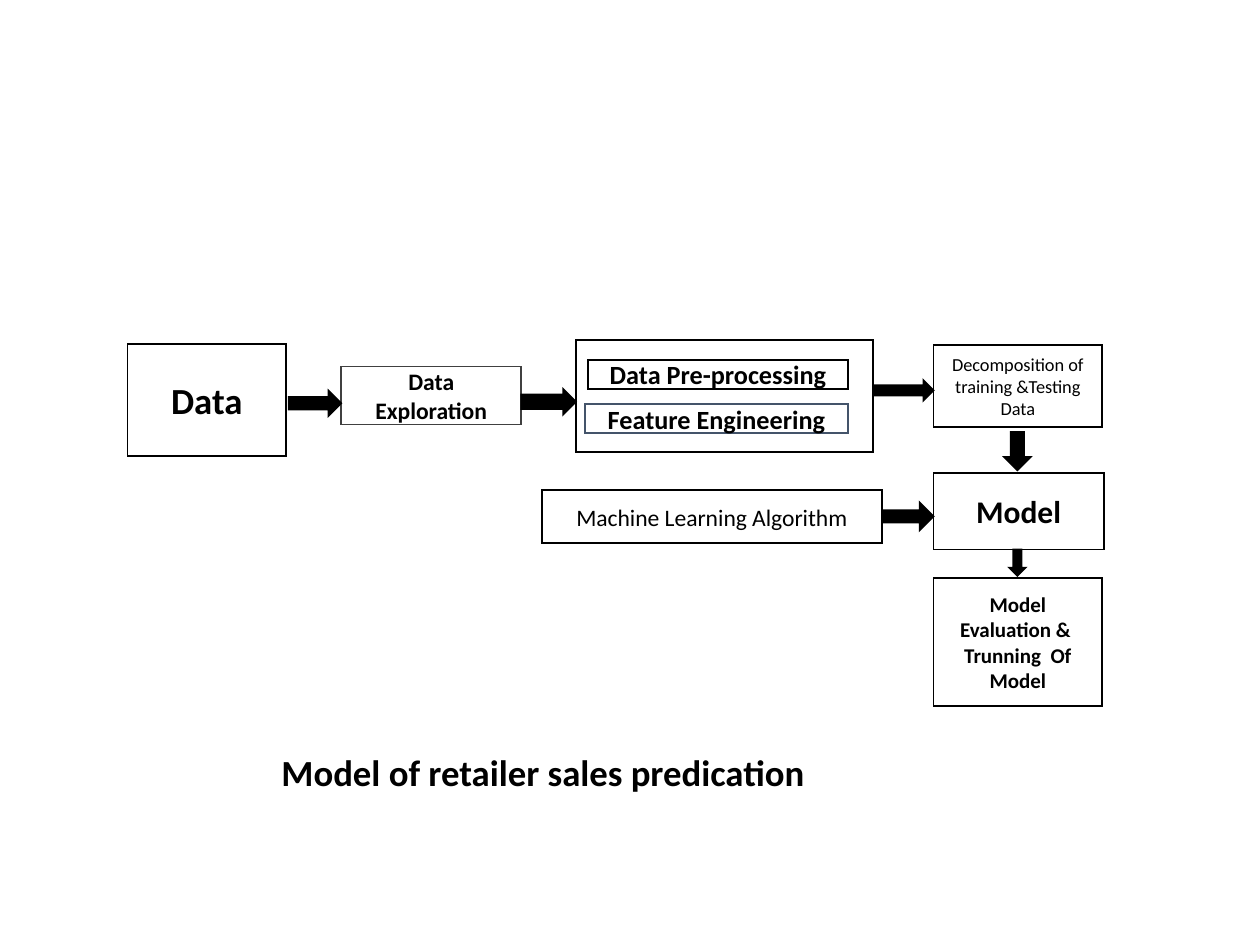
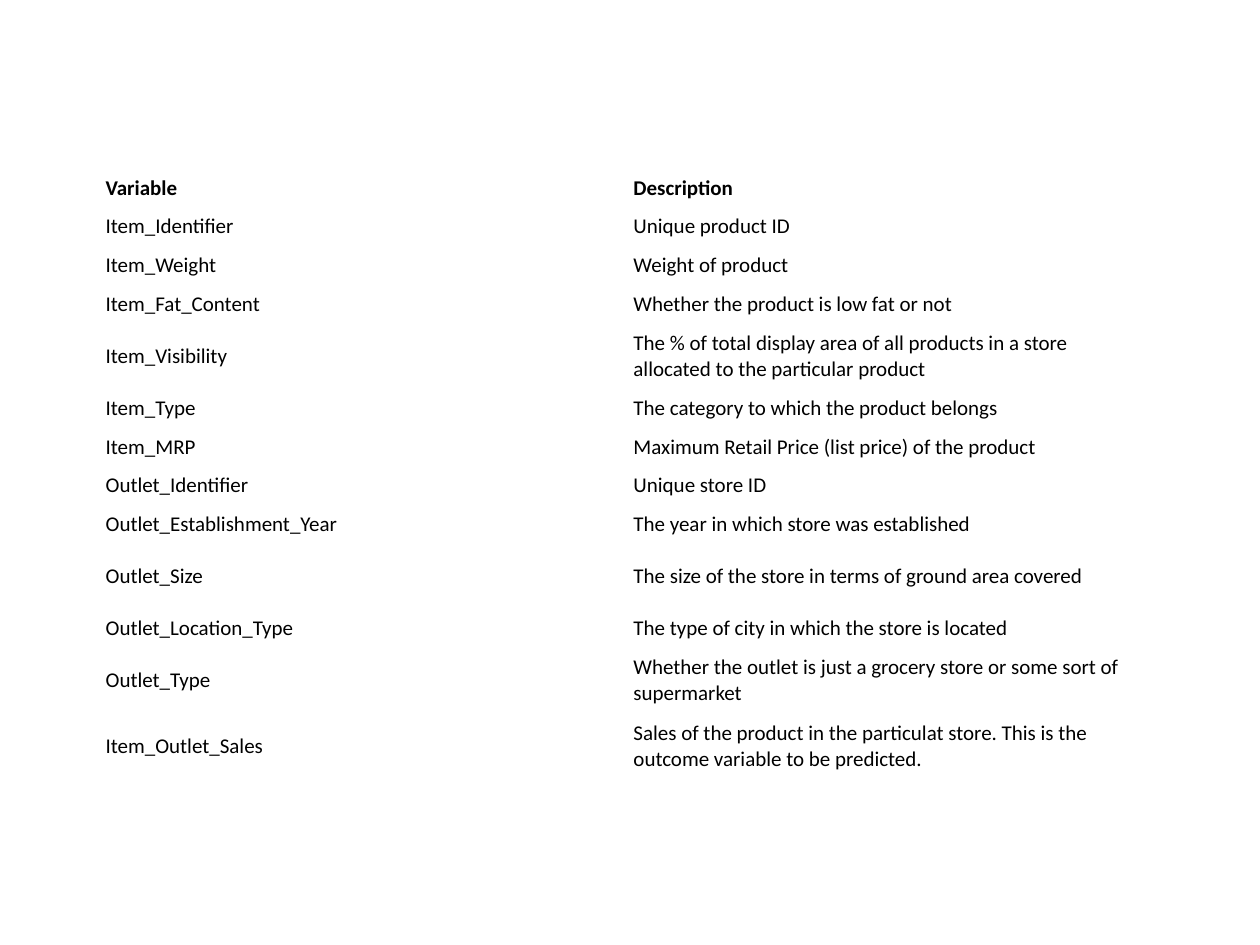
from dataclasses import dataclass

from lxml import etree
from pptx import Presentation
from pptx.dml.color import RGBColor
from pptx.enum.shapes import MSO_SHAPE
from pptx.enum.text import MSO_ANCHOR, PP_ALIGN
from pptx.oxml.ns import qn
from pptx.util import Cm, Pt

RECT, ROUNDED = MSO_SHAPE.RECTANGLE, MSO_SHAPE.ROUNDED_RECTANGLE
RIGHT, DOWN = MSO_SHAPE.RIGHT_ARROW, MSO_SHAPE.DOWN_ARROW
MIDDLE, CENTER, LEFT = MSO_ANCHOR.MIDDLE, PP_ALIGN.CENTER, PP_ALIGN.LEFT


@dataclass(frozen=True)
class Theme:
    font: str = "Calibri"
    ink: str = "000000"
    paper: str = "FFFFFF"
    grey: str = "404040"
    slate: str = "44546A"
    headline: float = 21
    model: float = 18
    step: float = 15
    label: float = 13.5
    body: float = 12
    small: float = 10.5


T = Theme()

# Flow steps: key -> text, (left, top, width, height) in cm, size, bold, line, fill
STEPS = {
    "data": ("Data", (2.57, 6.93, 3.2, 2.26), T.headline, True, T.ink, T.paper),
    "explore": ("Data Exploration", (6.88, 7.39, 3.63, 1.17), T.label, True, T.grey, T.paper),
    "features": ("Feature Engineering", (11.79, 8.15, 5.31, 0.58), T.step, True, T.slate, T.paper),
    "clean": ("Data Pre-processing", (11.86, 7.26, 5.23, 0.58), T.step, True, T.ink, None),
    "split": ("Decomposition of training &Testing Data",
              (18.82, 6.96, 3.4, 1.65), T.small, False, T.ink, T.paper),
    "model": ("Model", (18.82, 9.53, 3.43, 1.55), T.model, True, T.ink, T.paper),
    "evaluate": ("Model Evaluation &  Trunning  Of Model",
                 (18.82, 11.66, 3.4, 2.57), T.body, True, T.ink, T.paper),
    "algorithm": ("Machine Learning Algorithm",
                  (10.92, 9.88, 6.86, 1.07), T.label, False, T.ink, T.paper),
    "prepare": ("", (11.61, 6.86, 5.99, 2.26), T.body, False, T.ink, None),
}
ROUNDED_STEPS = {"explore"}

# Flow arrows: from, to, direction, centre line, thickness,
# gap at start and end (cm), shaft share of the thickness
ARROWS = [
    ("data", "explore", RIGHT, 8.13, 0.51, 0.05, 0, 0.5),
    ("explore", "prepare", RIGHT, 8.1, 0.51, 0, 0, 0.58),
    ("prepare", "split", RIGHT, 7.87, 0.41, 0.03, 0, 0.5),
    ("split", "model", DOWN, 20.51, 0.53, 0.1, 0.05, 0.5),
    ("model", "evaluate", DOWN, 20.51, 0.33, 0, 0.05, 0.5),
    ("algorithm", "model", RIGHT, 10.41, 0.56, 0, 0, 0.44),
]

CAPTION = "Model of retailer sales predication"
CAPTION_BOX = (5.03, 14.78, 11.84, 1.55)

VARIABLES = [
    ("Variable", "Description"),
    ("Item_Identifier", "Unique product ID"),
    ("Item_Weight", "Weight of product"),
    ("Item_Fat_Content", "Whether the product is low fat or not"),
    ("Item_Visibility",
     "The % of total display area of all products in a store allocated to the particular product"),
    ("Item_Type", "The category to which the product belongs"),
    ("Item_MRP", "Maximum Retail Price (list price) of the product"),
    ("Outlet_Identifier", "Unique store ID"),
    ("Outlet_Establishment_Year", "The year in which store was established"),
    ("Outlet_Size", "The size of the store in terms of ground area covered"),
    ("Outlet_Location_Type", "The type of city in which the store is located"),
    ("Outlet_Type", "Whether the outlet is just a grocery store or some sort of supermarket"),
    ("Item_Outlet_Sales",
     "Sales of the product in the particulat store. This is the outcome variable to be predicted."),
]
TALL_ROWS = {"Item_Visibility", "Outlet_Size", "Outlet_Type", "Item_Outlet_Sales"}
ROW_HEIGHT, TALL_HEIGHT, COLUMN_WIDTH = 0.78, 1.32, 10.64
TABLE_LEFT, TABLE_TOP = 1.93, 3.4


def color(value):
    return RGBColor.from_string(value)


def write(frame, text, size, bold, align):
    frame.word_wrap = True
    paragraph = frame.paragraphs[0]
    paragraph.text = text
    paragraph.alignment = align
    font = paragraph.font
    font.name, font.size, font.bold = T.font, Pt(size), bold
    font.color.rgb = color(T.ink)


def add_outlined(slide, kind, box, line, fill):
    shape = slide.shapes.add_shape(kind, *map(Cm, box))
    shape.shadow.inherit = False
    shape.line.color.rgb = color(line)
    shape.line.width = Pt(1)
    # Sharp corners on the outline
    outline = shape.element.spPr.find(qn("a:ln"))
    etree.SubElement(outline, qn("a:miter"), lim="800000")
    if fill:
        shape.fill.solid()
        shape.fill.fore_color.rgb = color(fill)
    else:
        shape.fill.background()
    return shape


def add_arrow(slide, start, end, kind, centre, thickness, gap, end_gap, shaft):
    axis = 0 if kind == RIGHT else 1
    source, target = STEPS[start][1], STEPS[end][1]
    begin = source[axis] + source[axis + 2] + gap
    length = target[axis] - end_gap - begin
    side = centre - thickness / 2
    box = ((begin, side, length, thickness) if kind == RIGHT
           else (side, begin, thickness, length))
    arrow = add_outlined(slide, kind, box, T.ink, T.ink)
    arrow.adjustments[0] = shaft


prs = Presentation()
prs.slide_width, prs.slide_height = Cm(25.4), Cm(19.05)
blank = prs.slide_layouts[6]

# Slide 1: process flow
flow = prs.slides.add_slide(blank)
for key, (text, box, size, bold, line, fill) in STEPS.items():
    step = add_outlined(flow, ROUNDED if key in ROUNDED_STEPS else RECT, box, line, fill)
    if key in ROUNDED_STEPS:
        step.adjustments[0] = 0
    if text:
        step.text_frame.vertical_anchor = MIDDLE
        write(step.text_frame, text, size, bold, CENTER)
for arrow in ARROWS:
    add_arrow(flow, *arrow)

caption = flow.shapes.add_textbox(*map(Cm, CAPTION_BOX)).text_frame
caption.vertical_anchor = MIDDLE
write(caption, CAPTION, T.headline, True, CENTER)

# Slide 2: variable table
dictionary = prs.slides.add_slide(blank)
heights = [TALL_HEIGHT if name in TALL_ROWS else ROW_HEIGHT for name, _ in VARIABLES]
table = dictionary.shapes.add_table(
    len(VARIABLES), 2, Cm(TABLE_LEFT), Cm(TABLE_TOP),
    Cm(2 * COLUMN_WIDTH), Cm(sum(heights))).table
table.first_row = table.horz_banding = False
for column in table.columns:
    column.width = Cm(COLUMN_WIDTH)
for r, (entry, height) in enumerate(zip(VARIABLES, heights)):
    table.rows[r].height = Cm(height)
    for c, text in enumerate(entry):
        cell = table.cell(r, c)
        cell.fill.background()
        cell.vertical_anchor = MIDDLE
        cell.margin_left = cell.margin_right = Cm(0.2)
        cell.margin_top = cell.margin_bottom = Cm(0.08)
        write(cell.text_frame, text, T.body, r == 0, LEFT)

prs.save("out.pptx")
